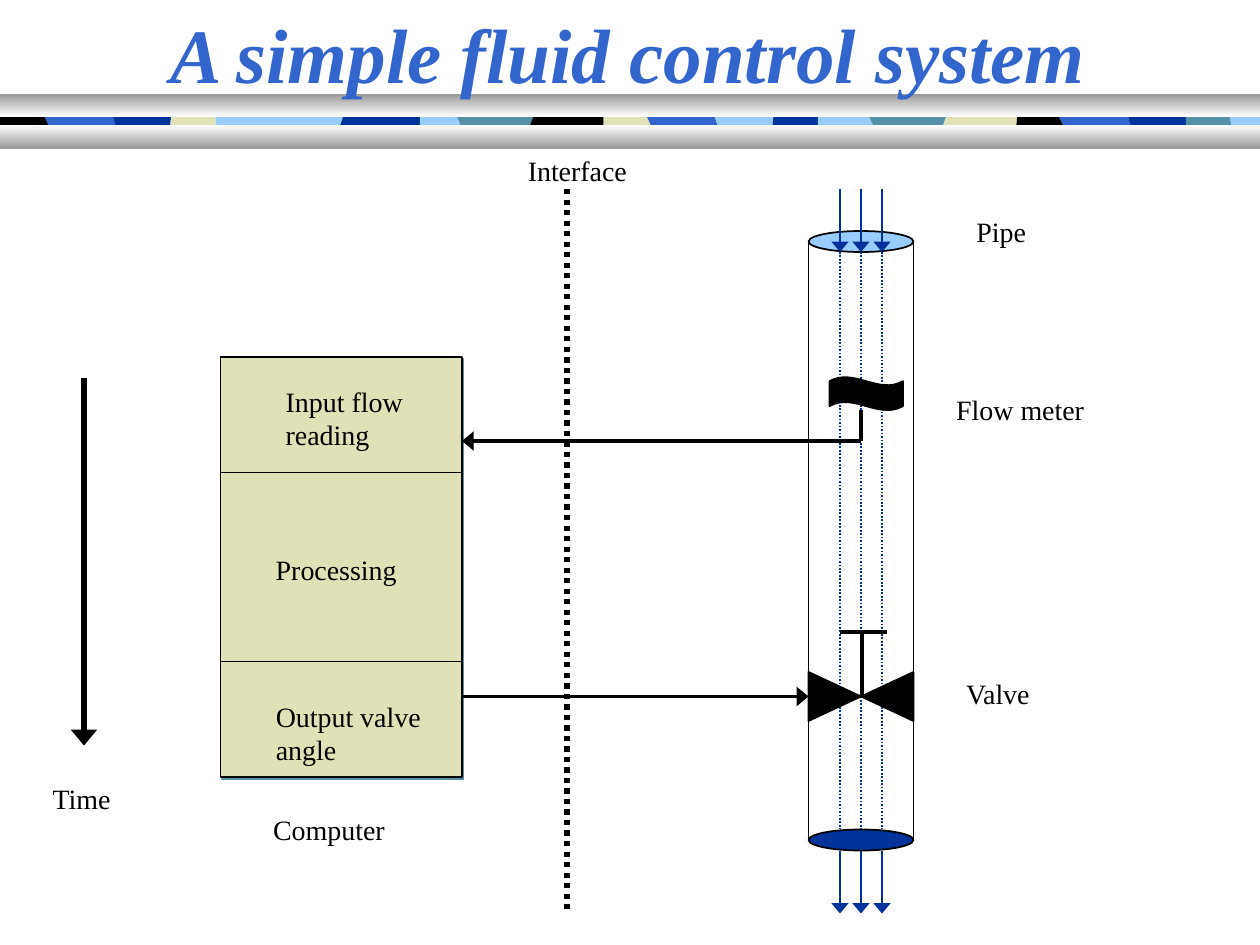
from lxml.etree import SubElement
from pptx import Presentation
from pptx.dml.color import RGBColor
from pptx.enum.dml import MSO_LINE
from pptx.enum.shapes import MSO_CONNECTOR, MSO_SHAPE
from pptx.enum.text import MSO_ANCHOR, MSO_AUTO_SIZE, PP_ALIGN
from pptx.oxml.ns import qn
from pptx.util import Pt

FONT = "Times New Roman"
BLACK, NAVY, BLUE = "000000", "003399", "3366CC"
SKY, TEAL, SAND = "99CCFF", "5490A8", "E1E1B7"
STRIP_TOP, STRIP_MIDDLE, STRIP_BOTTOM = 61.2, 69.5, 81.4
TILE_COLOURS = [
    BLACK, BLUE, NAVY, SAND, SKY, NAVY, SKY, TEAL, BLACK, SAND, BLUE,
    SKY, NAVY, SKY, TEAL, SAND, BLACK, BLUE, NAVY, TEAL, SKY,
]
TILE_EDGES = [
    (0, 0), (26.9, 0.45), (65.4, 0.3), (97.5, -0.1), (123.2, 0),
    (195.1, -0.35), (240, 0), (262.3, 0.45), (303.7, -0.35), (345, 0),
    (371, 0.45), (409.4, 0.3), (441.7, -0.1), (467.4, 0), (498, 0.5),
    (539.7, -0.35), (581, -0.1), (606.6, 0.5), (645.4, 0.3), (677.7, 0),
    (703.3, 0.1), (720, 0),
]
LABELS = [
    ("Pipe", 550.8, 118.8, 42.5),
    ("Flow meter", 539.3, 221, 87.1),
    ("Valve", 545, 383, 52.6),
    ("Interface", 294.5, 84.2, 71.3),
    ("Computer", 149, 460.8, 77.8),
    ("Time", 23, 442.8, 48.2),
    ("Input flow\nreading", 156.2, 216, 81.4),
    ("Processing", 150.5, 312, 83.5),
    ("Output valve\nangle", 150.5, 396, 97.2),
]


def colour(code):
    """Turn a hex string into a colour."""
    return RGBColor.from_string(code)


def paint(shape, fill, outline=None):
    """Give a shape a plain fill and an optional thin outline."""
    shape.shadow.inherit = False
    shape.fill.solid()
    shape.fill.fore_color.rgb = colour(fill)
    if outline:
        shape.line.color.rgb = colour(outline)
        shape.line.width = Pt(1)
    else:
        shape.line.fill.background()


def add_preset(page, kind, left, top, width, height, fill, outline=BLACK):
    """Add a filled preset shape."""
    shape = page.shapes.add_shape(kind, Pt(left), Pt(top), Pt(width), Pt(height))
    paint(shape, fill, outline)
    return shape


def add_line(page, start, end, shade=BLACK, width=1, arrow=False, dotted=False):
    """Add a straight line, with a wide arrowhead at its end on request."""
    points = [Pt(value) for value in (*start, *end)]
    line = page.shapes.add_connector(MSO_CONNECTOR.STRAIGHT, *points)
    line.line.color.rgb = colour(shade)
    line.line.width = Pt(width)
    if dotted:
        line.line.dash_style = MSO_LINE.ROUND_DOT
    properties = line.element.spPr
    if arrow:
        outline = properties.find(qn("a:ln"))
        SubElement(outline, qn("a:tailEnd"), type="triangle", w="lg", len="med")
    SubElement(properties, qn("a:effectLst"))


def add_label(page, text, left, top, width):
    """Add a label with one paragraph for each line of text."""
    height = 26.6 + 19.4 * text.count("\n")
    box = page.shapes.add_textbox(Pt(left), Pt(top), Pt(width), Pt(height))
    frame = box.text_frame
    frame.word_wrap = True
    frame.margin_right = Pt(0)
    frame.auto_size = MSO_AUTO_SIZE.SHAPE_TO_FIT_TEXT
    frame.text = text
    for para in frame.paragraphs:
        para.font.name = FONT
        para.font.size = Pt(16)
        para.font.color.rgb = colour(BLACK)


def add_tile(page, left_edge, right_edge, fill):
    """Add one slanted tile of the strip between two edges."""
    corners = [
        (Pt(x + slope * (y - STRIP_MIDDLE)), Pt(y))
        for (x, slope), y in (
            (left_edge, STRIP_TOP), (right_edge, STRIP_TOP),
            (right_edge, STRIP_BOTTOM), (left_edge, STRIP_BOTTOM),
        )
    ]
    builder = page.shapes.build_freeform(*corners[0])
    builder.add_line_segments(corners[1:])
    paint(builder.convert_to_shape(), fill)


def add_bar(page, top, first, last):
    """Add a full-width bar shaded from top to bottom."""
    bar = add_preset(page, MSO_SHAPE.RECTANGLE, 0, top, 720, 13, first, None)
    bar.fill.gradient()
    bar.fill.gradient_angle = 270
    for stop, shade in zip(bar.fill.gradient_stops, (first, last)):
        stop.color.rgb = colour(shade)


def add_banner(page):
    """Draw the tiled strip and the two shaded bars."""
    for left_edge, right_edge, fill in zip(TILE_EDGES, TILE_EDGES[1:], TILE_COLOURS):
        add_tile(page, left_edge, right_edge, fill)
    add_bar(page, 53.7, "999999", "FFFFFF")
    add_bar(page, 71.7, "FFFFFF", "999999")


def add_title(page, text):
    """Place and format the title in front of the banner."""
    title = page.shapes.title
    title.element.getparent().append(title.element)
    title.left, title.top, title.width, title.height = Pt(0), Pt(0), Pt(718), Pt(60)
    frame = title.text_frame
    frame.text = text
    frame.vertical_anchor = MSO_ANCHOR.MIDDLE
    para = frame.paragraphs[0]
    para.alignment = PP_ALIGN.CENTER
    font = para.runs[0].font
    font.name, font.size, font.bold, font.italic = FONT, Pt(44), True, True
    font.color.rgb = colour(BLUE)


def add_computer(page):
    """Draw the computer with its three steps, the time arrow and the interface."""
    computer = add_preset(page, MSO_SHAPE.RECTANGLE, 126, 204, 138, 240, SAND)
    effects = computer.element.spPr.find(qn("a:effectLst"))
    shadow = SubElement(
        effects, qn("a:outerShdw"), dist=str(Pt(1.4)), dir="2700000", rotWithShape="0"
    )
    SubElement(shadow, qn("a:srgbClr"), val=TEAL)
    for y in (270, 378):
        add_line(page, (126, y), (264, y))
    add_line(page, (48, 216), (48, 426), width=3, arrow=True)
    add_line(page, (324, 108), (324, 522), width=3, dotted=True)


def add_pipe(page):
    """Draw the pipe with the fluid running through it."""
    for x in (462, 522):
        add_line(page, (x, 138), (x, 480))
    for top, fill in ((132, SKY), (474, NAVY)):
        add_preset(page, MSO_SHAPE.OVAL, 462, top, 60, 12, fill)
    for x in (480, 492, 504):
        add_line(page, (x, 108), (x, 144), NAVY, arrow=True)
        add_line(page, (x, 144), (x, 474), NAVY, dotted=True)
        add_line(page, (x, 486), (x, 522), NAVY, arrow=True)


def add_instruments(page):
    """Draw the valve, the flow meter and their links to the computer."""
    add_line(page, (480, 361.4), (507, 361.4), width=2.25)
    add_line(page, (492.5, 362), (492.5, 398), width=2.25)
    valve = add_preset(page, MSO_SHAPE.FLOWCHART_COLLATE, 478, 368, 28, 60, BLACK)
    valve.rotation = 90
    add_preset(page, MSO_SHAPE.WAVE, 474, 215.5, 42, 19, BLACK)
    add_line(page, (492, 234), (492, 252), width=2.25)
    add_line(page, (492, 252), (264, 252), width=2.25, arrow=True)
    add_line(page, (264, 398), (462, 398), width=2.25, arrow=True)


def main():
    """Build the slide and save it."""
    deck = Presentation()
    deck.slide_width, deck.slide_height = Pt(720), Pt(540)
    page = deck.slides.add_slide(deck.slide_layouts[5])
    add_banner(page)
    add_title(page, "A simple fluid control system")
    add_computer(page)
    add_pipe(page)
    add_instruments(page)
    for label in LABELS:
        add_label(page, *label)
    deck.save("out.pptx")


if __name__ == "__main__":
    main()
